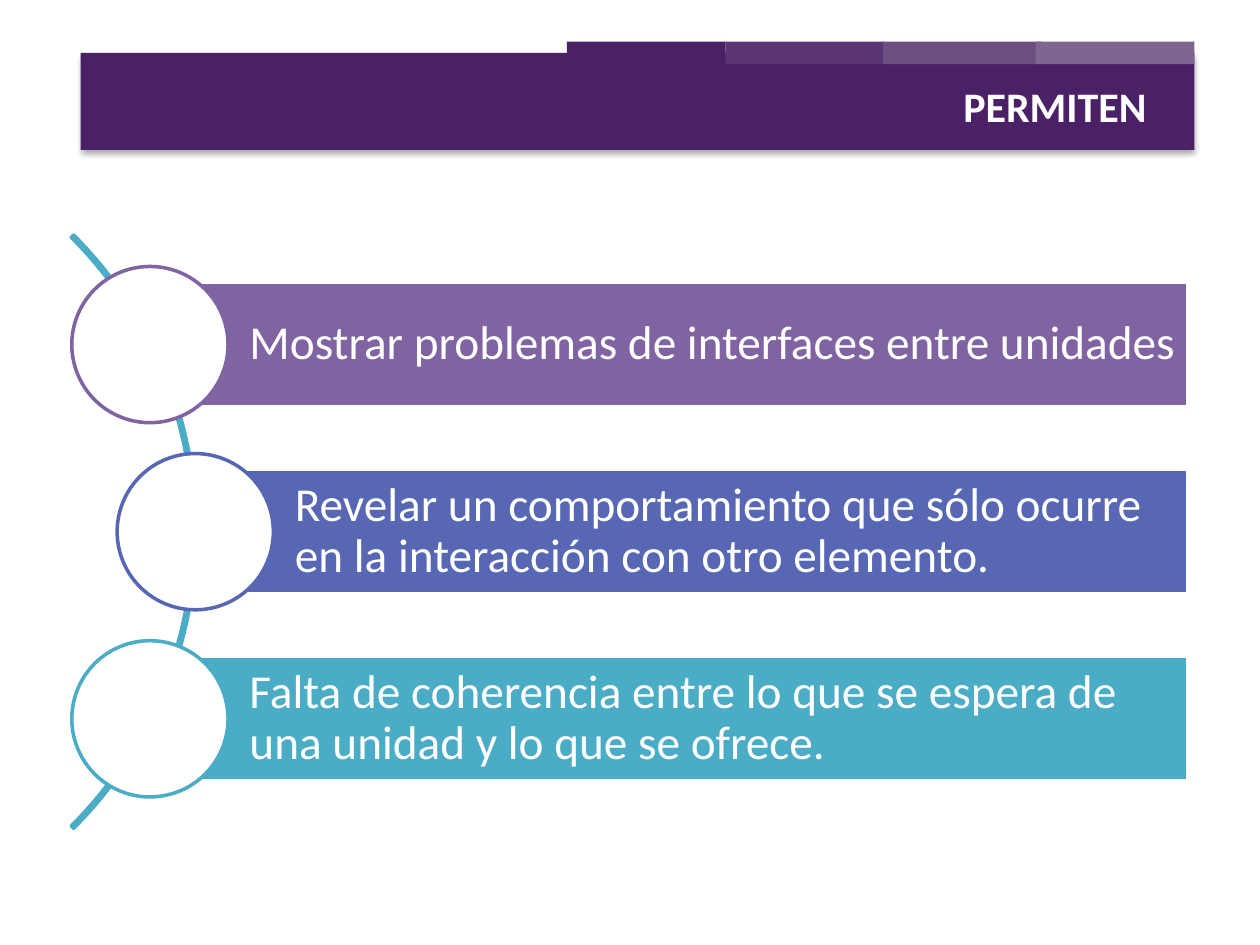
import pptx
import pptx.dml.color
import pptx.enum.shapes
import pptx.enum.text
import pptx.util
from lxml import etree
from pptx.util import Inches

SHAPE = pptx.enum.shapes.MSO_SHAPE
ANCHOR = pptx.enum.text.MSO_ANCHOR
FONT = "Calibri"
COLORS = {
    "white": "FFFFFF",
    "header": "4A2167",
    "tab 2": "5A3574",
    "tab 3": "6D4E83",
    "tab 4": "7D6690",
    "purple": "8064A2",
    "blue": "5767B4",
    "teal": "4BACC6",
}
TABS = [(4.5, "header"), (5.76, "tab 2"), (7.01, "tab 3"), (8.22, "tab 4")]
ITEMS = [
    ("Mostrar problemas de interfaces entre unidades", "purple", 0.62),
    ("Revelar un comportamiento que sólo ocurre en la interacción con otro elemento.",
     "blue", 0.98),
    ("Falta de coherencia entre lo que se espera de una unidad y lo que se ofrece.",
     "teal", 0.62),
]


def rgb(name):
    return pptx.dml.color.RGBColor.from_string(COLORS[name])


def add_shape(slide, kind, left, top, width, height, fill=None, line=None):
    shape = slide.shapes.add_shape(
        kind, Inches(left), Inches(top), Inches(width), Inches(height))
    shape.shadow.inherit = False
    if fill:
        shape.fill.solid()
        shape.fill.fore_color.rgb = rgb(fill)
    else:
        shape.fill.background()
    if line:
        shape.line.color.rgb = rgb(line)
        shape.line.width = pptx.util.Pt(2)
    else:
        shape.line.fill.background()
    return shape


def add_drop_shadow(shape):
    namespace = pptx.oxml.ns.nsuri("a")
    effects = shape.element.spPr.find(f"{{{namespace}}}effectLst")
    shadow = etree.SubElement(
        effects, f"{{{namespace}}}outerShdw", blurRad="40000", dist="23000",
        dir="5400000", rotWithShape="0")
    color = etree.SubElement(shadow, f"{{{namespace}}}srgbClr", val="000000")
    etree.SubElement(color, f"{{{namespace}}}alpha", val="35000")


def format_text(frame, text, size, bold=False):
    frame.text = text
    frame.word_wrap = True
    paragraph = frame.paragraphs[0]
    paragraph.font.name = FONT
    paragraph.font.size = pptx.util.Pt(size)
    paragraph.font.bold = bold
    paragraph.font.color.rgb = rgb("white")
    return paragraph


def build_header(slide, left, top, width, height):
    """Place the header band, its stepped tabs and the title on top of them."""
    band = add_shape(slide, SHAPE.RECTANGLE, left, top + 0.09, width, height - 0.09, "header")
    add_drop_shadow(band)
    for tab_left, color in TABS:
        tab = add_shape(slide, SHAPE.RECTANGLE, tab_left, top, 1.26, 0.18, color)

    title = slide.shapes.title
    tab.element.addnext(title.element)
    title.left, title.top = Inches(left + 5.01), Inches(top + 0.26)
    title.width, title.height = Inches(3.55), Inches(0.5)
    paragraph = format_text(title.text_frame, "PERMITEN", 24, bold=True)
    paragraph.alignment = pptx.enum.text.PP_ALIGN.RIGHT
    title.text_frame.vertical_anchor = ANCHOR.TOP


def build_item(slide, left, top, width, height, text, color):
    """Place a text bar with a circle centred on its left edge."""
    bar = add_shape(slide, SHAPE.RECTANGLE, left, top, width, height, color, "white")
    frame = bar.text_frame
    paragraph = format_text(frame, text, 27)
    paragraph.alignment = pptx.enum.text.PP_ALIGN.LEFT
    paragraph.line_spacing = 0.9
    frame.vertical_anchor = ANCHOR.MIDDLE
    frame.margin_left = Inches(0.79)
    frame.margin_top = frame.margin_right = frame.margin_bottom = Inches(0.07)

    diameter = 1.24
    add_shape(slide, SHAPE.OVAL, left - diameter / 2, top + (height - diameter) / 2,
              diameter, diameter, "white", color)


def build_curved_list(slide, left, top, width, height):
    """Place the arc and the bars, which share a right edge and an even pitch."""
    diameter, bar_height = 6.66, 0.99
    arc = add_shape(slide, SHAPE.BLOCK_ARC, left - 5.67, top + (height - diameter) / 2,
                    diameter, diameter, line="teal")
    for index, value in enumerate((189, 27, 0.004)):
        arc.adjustments[index] = value

    pitch = (height - bar_height) / (len(ITEMS) - 1)
    for row, (text, color, indent) in enumerate(ITEMS):
        build_item(slide, left + indent, top + row * pitch, width - indent, bar_height,
                   text, color)


def main():
    presentation = pptx.Presentation()
    presentation.slide_width, presentation.slide_height = Inches(10), Inches(7.5)
    slide = presentation.slides.add_slide(presentation.slide_layouts[5])
    build_header(slide, 0.64, 0.33, 8.84, 0.86)
    build_curved_list(slide, 0.57, 2.24, 8.86, 3.96)
    presentation.save("out.pptx")


if __name__ == "__main__":
    main()
